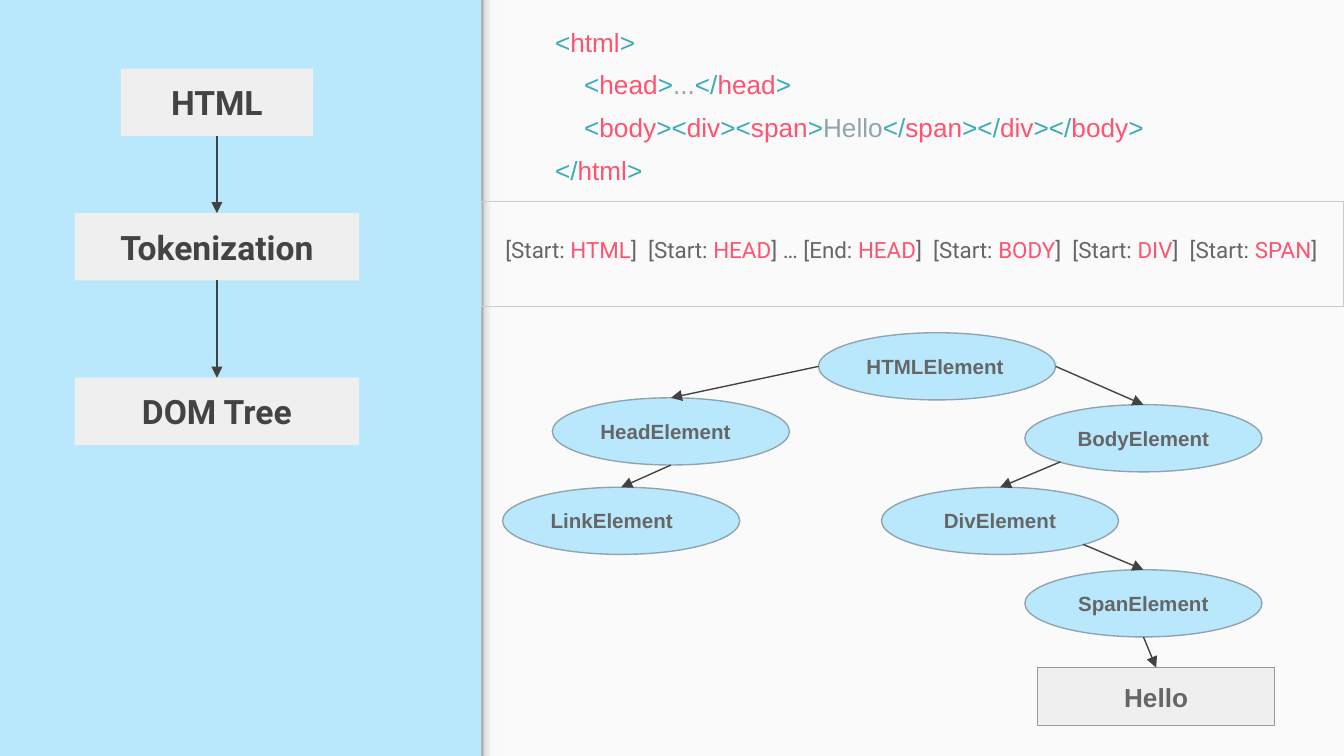
from copy import deepcopy
from itertools import cycle, groupby

from lxml import etree
from pptx import Presentation, util as u
from pptx.dml.color import RGBColor
from pptx.enum import shapes as sh, text as tx
from pptx.oxml.ns import qn

SKY, PALE, PINK, TEAL, GREY, TEXT = "B9E8FD", "EFEFEF", "FF5370", "39ADB5", "90A4AE", "666666"
MID, LEFT = tx.PP_ALIGN.CENTER, tx.PP_ALIGN.LEFT
KIND = sh.MSO_SHAPE


def rgb(code):
    return RGBColor.from_string(code)


def put(kind, place, fill=None, edge=None, runs=(), align=MID, **look):
    """Add a shape (a text box if kind is None); runs are (text, colour) lists, one per paragraph."""
    place = [u.Cm(n) for n in place]
    if kind is None:
        box = slide.shapes.add_textbox(*place)
    else:
        box = slide.shapes.add_shape(kind, *place)
        box.shadow.inherit = False
        for part, code in ((box.fill, fill), (box.line.fill, edge)):
            if code:
                part.solid()
                part.fore_color.rgb = rgb(code)
            else:
                part.background()
        if edge:
            box.line.width = u.Pt(0.75)
    frame = box.text_frame
    frame.word_wrap = True
    frame.vertical_anchor = tx.MSO_ANCHOR.MIDDLE if kind else tx.MSO_ANCHOR.TOP
    for side in ("left", "right", "top", "bottom"):
        setattr(frame, "margin_" + side, u.Cm(0.25))
    for i, row in enumerate(runs):
        par = frame.add_paragraph() if i else frame.paragraphs[0]
        par.alignment = align
        for words, code in row:
            run = par.add_run()
            run.text = words
            for key, value in look.items():
                setattr(run.font, key, value)
            run.font.color.rgb = rgb(code)
    return box


prs = Presentation()
prs.slide_width, prs.slide_height = u.Cm(25.4), u.Cm(14.29)
slide = prs.slides.add_slide(prs.slide_layouts[6])
slide.background.fill.solid()
slide.background.fill.fore_color.rgb = rgb(SKY)

# Right panel with a soft shade along its left edge
put(KIND.RECTANGLE, (9.1, 0, 16.3, 14.29), "FAFAFA")
shade = put(KIND.RECTANGLE, (9.1, 0, 0.31, 14.29))
shade.fill.gradient()
shade.fill.gradient_angle = 0
stops = shade.fill.gradient_stops
stops[0].color.rgb, stops[1].color.rgb = rgb("999999"), rgb("F9F9F9")
stops[0].position, stops[1].position = 0, 0.64
grad = shade.element.spPr.find(".//" + qn("a:gsLst"))
grad.insert(1, deepcopy(grad[0]))
stop = shade.fill.gradient_stops[1]
stop.position, stop.color.rgb = 0.2, rgb("DEDEDE")

# Steps on the left
nodes = {}
bold = dict(name="Roboto", size=u.Pt(18), bold=True)
for name, top, wide in (("HTML", 1.3, 3.63), ("Tokenization", 4.03, 5.38), ("DOM Tree", 7.14, 5.38)):
    nodes[name] = put(KIND.RECTANGLE, (4.1 - wide / 2, top, wide, 1.27), PALE,
                      runs=[[(name, "434343")]], **bold)

# Markup: signs in teal, tags in pink, content in grey
code = """<html>
    <head>...</head>
    <body><div><span>Hello</span></div></body>
</html>"""
rows = []
for line in code.split("\n"):
    row = []
    for sign, chars in groupby(line, lambda c: c in "</> "):
        word = "".join(chars)
        row.append((word, TEAL if sign else GREY if word in ("...", "Hello") else PINK))
    rows.append(row)
mark = put(None, (10.24, 0.03, 14.22, 3.43), runs=rows, align=LEFT, name="Arial", size=u.Pt(14))
for par in mark.text_frame.paragraphs:
    par.line_spacing = 1.36

# Tokens: every second part is a tag name
put(KIND.RECTANGLE, (9.1, 3.81, 16.3, 1.98), edge="CCCCCC")
tokens = ("[Start: |HTML|]  [Start: |HEAD|] … [End: |HEAD|]  [Start: |BODY|]"
          "  [Start: |DIV|]  [Start: |SPAN|]")
put(None, (9.3, 4.22, 16.3, 1.09), runs=[list(zip(tokens.split("|"), cycle((TEXT, PINK))))],
    align=LEFT, name="Roboto", size=u.Pt(12))

# Element tree
bold = dict(name="Arial", size=u.Pt(11), bold=True)
for name, left, top, align in (
    ("HTMLElement", 15.47, 6.29, LEFT),
    ("HeadElement", 10.44, 7.52, LEFT),
    ("BodyElement", 19.37, 7.65, MID),
    ("DivElement", 16.66, 9.21, MID),
    ("SpanElement", 19.37, 10.77, MID),
    ("LinkElement", 9.5, 9.21, LEFT),
):
    nodes[name] = put(KIND.OVAL, (left, top, 4.48, 1.27), SKY, GREY, [[(name, TEXT)]], align, **bold)
bold["size"] = u.Pt(14)
nodes["Hello"] = put(KIND.FLOWCHART_PROCESS, (19.61, 12.62, 4.48, 1.1), PALE, "999999",
                     [[("Hello", TEXT)]], **bold)

# Arrows: start at a share of the parent's width and height, end at the child's top
for src, dst, across, down in (
    ("HTML", "Tokenization", 0.5, 1),
    ("Tokenization", "DOM Tree", 0.5, 1),
    ("HTMLElement", "HeadElement", 0, 0.5),
    ("HTMLElement", "BodyElement", 1, 0.5),
    ("HeadElement", "LinkElement", 0.5, 1),
    ("BodyElement", "DivElement", 0.15, 0.85),
    ("DivElement", "SpanElement", 0.85, 0.85),
    ("SpanElement", "Hello", 0.5, 1),
):
    up, low = nodes[src], nodes[dst]
    x, y = int(up.left + up.width * across), int(up.top + up.height * down)
    arrow = slide.shapes.add_connector(sh.MSO_CONNECTOR.STRAIGHT, x, y, x, y)
    if up.auto_shape_type == KIND.RECTANGLE:
        arrow.begin_connect(up, 2)
    arrow.end_connect(low, 0)
    arrow.line.width = u.Pt(0.75)
    arrow.line.color.rgb = rgb("424242")
    etree.SubElement(arrow.line._get_or_add_ln(), qn("a:tailEnd"), type="triangle")
    etree.SubElement(arrow.element.spPr, qn("a:effectLst"))

prs.save("out.pptx")
